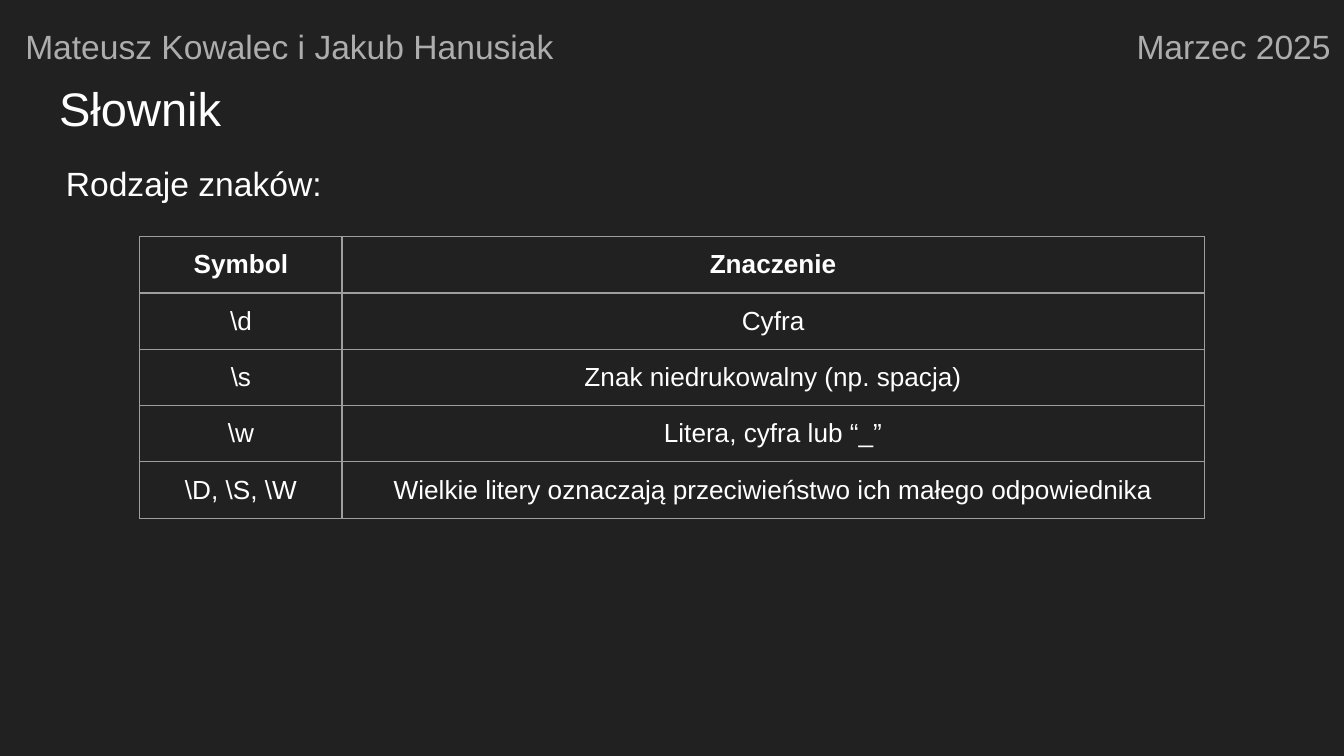
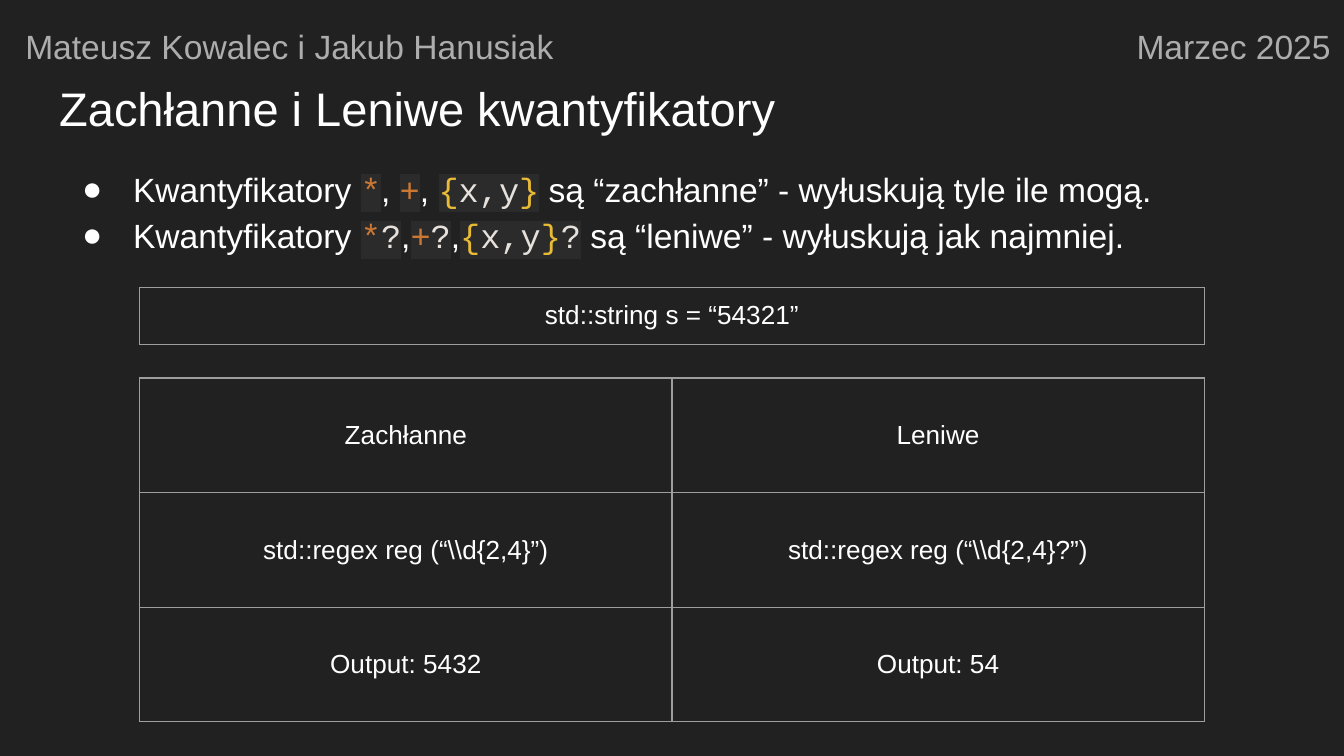
import pptx
import pptx.util
import pptx.dml.color
import pptx.enum.text
import pptx.oxml
import pptx.oxml.ns
import lxml.etree

RGBColor = pptx.dml.color.RGBColor
ALIGN = pptx.enum.text.PP_ALIGN
ANCHOR = pptx.enum.text.MSO_ANCHOR
qn = pptx.oxml.ns.qn

BACKGROUND = RGBColor(0x21, 0x21, 0x21)
WHITE = RGBColor(0xFF, 0xFF, 0xFF)
GREY = RGBColor(0xAD, 0xAD, 0xAD)
BORDER = RGBColor(0x9E, 0x9E, 0x9E)
CODE_BACK = RGBColor(0x2B, 0x2B, 0x2B)
OPERATOR = RGBColor(0xCC, 0x78, 0x33)
BRACE = RGBColor(0xE8, 0xBA, 0x36)
CODE = RGBColor(0xE6, 0xE1, 0xDC)

SANS = "Arial"
MONO = "Courier New"
WIDTH = pptx.util.Inches(10)
HEIGHT = pptx.util.Inches(5.625)
INSET = pptx.util.Inches(0.1)
TABLE_LEFT, TABLE_WIDTH = 10.4, 79.2

INTERVAL = [("{", BRACE), ("x,y", CODE), ("}", BRACE)]
GREEDY = [("Kwantyfikatory ", None), ("*", OPERATOR), (", ", None),
          ("+", OPERATOR), (", ", None), *INTERVAL,
          (" są “zachłanne” - wyłuskują tyle ile mogą.", None)]
LAZY = [("Kwantyfikatory ", None), ("*", OPERATOR), ("?", CODE), (",", None),
        ("+", OPERATOR), ("?", CODE), (",", None), *INTERVAL, ("?", CODE),
        (" są “leniwe” - wyłuskują jak najmniej.", None)]

SYMBOLS = [
    ("Symbol", "Znaczenie"),
    (r"\d", "Cyfra"),
    (r"\s", "Znak niedrukowalny (np. spacja)"),
    (r"\w", "Litera, cyfra lub “_”"),
    (r"\D, \S, \W",
     "Wielkie litery oznaczają przeciwieństwo ich małego odpowiednika"),
]
COMPARISON = [
    ("Zachłanne", "Leniwe"),
    (r"std::regex reg (“\\d{2,4}”)", r"std::regex reg (“\\d{2,4}?”)"),
    ("Output: 5432", "Output: 54"),
]


def area(left, top, width, height):
    return (int(WIDTH * left / 100), int(HEIGHT * top / 100),
            int(WIDTH * width / 100), int(HEIGHT * height / 100))


def add_color(parent, tag, color):
    holder = lxml.etree.SubElement(parent, qn(tag))
    lxml.etree.SubElement(holder, qn("a:srgbClr")).set("val", str(color))


def add_run(p, text, size, color=WHITE, bold=False, code=False):
    r = p.add_run()
    r.text = text
    r.font.size = pptx.util.Pt(size)
    r.font.bold = bold
    r.font.color.rgb = color
    if code:
        add_color(r.font._element, "a:highlight", CODE_BACK)
    r.font.name = MONO if code else SANS


def format_frame(tf):
    tf.word_wrap = True
    tf.auto_size = pptx.enum.text.MSO_AUTO_SIZE.NONE
    tf.vertical_anchor = ANCHOR.TOP
    tf.margin_left = tf.margin_right = INSET
    tf.margin_top = tf.margin_bottom = INSET


def format_paragraph(p, align=ALIGN.LEFT, spacing=1.0):
    p.alignment = align
    p.line_spacing = spacing
    p.space_before = p.space_after = pptx.util.Pt(0)


def place(sp, *box):
    sp.left, sp.top, sp.width, sp.height = area(*box)
    format_frame(sp.text_frame)
    return sp.text_frame


def add_header(s, box, text, align):
    tf = place(s.shapes.add_textbox(0, 0, 0, 0), *box)
    p = tf.paragraphs[0]
    format_paragraph(p, align)
    add_run(p, text, 18, GREY)


def add_slide(prs, title):
    s = prs.slides.add_slide(prs.slide_layouts[1])
    p = place(s.shapes.title, 3.4, 8.7, 93.2, 11.2).paragraphs[0]
    format_paragraph(p)
    add_run(p, title, 25.2)
    add_header(s, (0.9, 1.6, 50, 7.3), "Mateusz Kowalec i Jakub Hanusiak",
               ALIGN.LEFT)
    add_header(s, (79.8, 1.6, 20.2, 7.3), "Marzec 2025", ALIGN.RIGHT)
    return s


def set_bullet(p, char=None):
    pPr = p._p.get_or_add_pPr()
    pPr.set("marL", str(pptx.util.Inches(0.5 if char else 0)))
    pPr.set("indent", str(pptx.util.Inches(-0.38 if char else 0)))
    if char:
        add_color(pPr, "a:buClr", WHITE)
        lxml.etree.SubElement(pPr, qn("a:buFont")).set("typeface", SANS)
        lxml.etree.SubElement(pPr, qn("a:buChar")).set("char", char)
    else:
        lxml.etree.SubElement(pPr, qn("a:buNone"))


def fill_body(s, height, lines, bullet=None, spacing=1.0):
    tf = place(s.placeholders[1], 3.9, 19.73, 92.1, height)
    for i, runs in enumerate(lines):
        p = tf.add_paragraph() if i else tf.paragraphs[0]
        format_paragraph(p, spacing=spacing)
        set_bullet(p, bullet)
        for text, color in runs:
            add_run(p, text, 18, color or WHITE, code=color is not None)


def set_borders(cell):
    tcPr = cell._tc.get_or_add_tcPr()
    for i, side in enumerate("LRTB"):
        ln = lxml.etree.Element(qn("a:ln" + side))
        ln.set("w", str(pptx.util.Pt(0.75)))
        add_color(ln, "a:solidFill", BORDER)
        tcPr.insert(i, ln)


def add_table(s, top, height, rows, shares, anchor=ANCHOR.TOP, header=False):
    box = area(TABLE_LEFT, top, TABLE_WIDTH, height)
    table = s.shapes.add_table(len(rows), len(shares), *box).table
    table.first_row = table.horz_banding = False
    for column, share in zip(table.columns, shares):
        column.width = int(box[2] * share)
    for i, texts in enumerate(rows):
        for j, text in enumerate(texts):
            cell = table.cell(i, j)
            cell.fill.background()
            set_borders(cell)
            cell.margin_left = cell.margin_right = INSET
            cell.margin_top = cell.margin_bottom = INSET
            cell.vertical_anchor = anchor
            p = cell.text_frame.paragraphs[0]
            p.alignment = ALIGN.CENTER
            add_run(p, text, 14, bold=header and i == 0)


def main():
    prs = pptx.Presentation()
    prs.slide_width, prs.slide_height = WIDTH, HEIGHT
    fill = prs.slide_master.background.fill
    fill.solid()
    fill.fore_color.rgb = BACKGROUND

    s = add_slide(prs, "Słownik")
    fill_body(s, 6.2, [[("Rodzaje znaków:", None)]])
    add_table(s, 31.3, 37.2, SYMBOLS, (0.19, 0.81), header=True)

    s = add_slide(prs, "Zachłanne i Leniwe kwantyfikatory")
    fill_body(s, 15.3, [GREEDY, LAZY], "●", 1.15)
    add_table(s, 38.05, 7.5, [("std::string s = “54321”",)], (1,))
    add_table(s, 50, 45.5, COMPARISON, (0.5, 0.5), ANCHOR.MIDDLE)

    prs.save("out.pptx")


if __name__ == "__main__":
    main()
